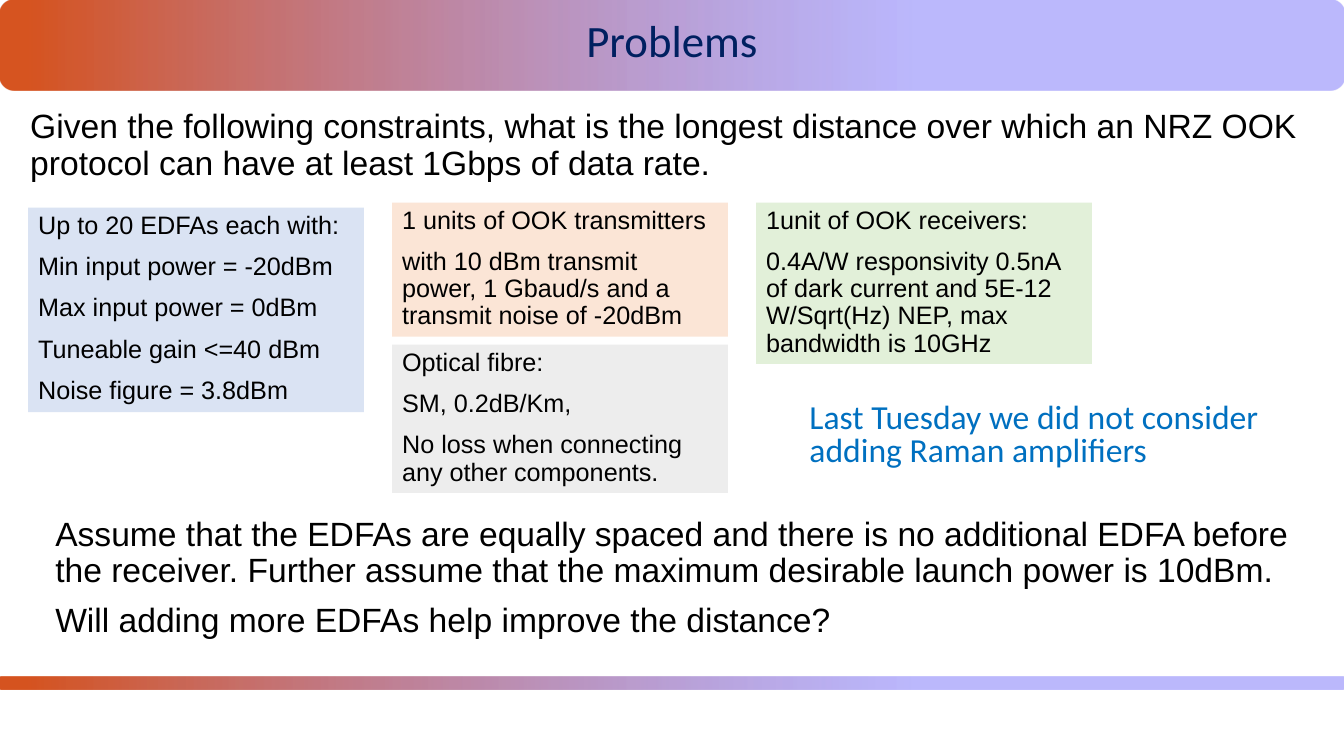
from lxml.etree import SubElement
from pptx import Presentation
from pptx.dml.color import RGBColor
from pptx.enum.shapes import MSO_SHAPE
from pptx.enum.text import MSO_ANCHOR, MSO_AUTO_SIZE, PP_ALIGN
from pptx.oxml.ns import qn
from pptx.util import Inches, Pt


def rgb(value):
    return RGBColor.from_string(value)


class SlideBuilder:
    """Holds the shared style and the current slide."""
    font, color, size = "Arial", "000000", 24
    gradient = [(0.02, "D65420"), (0.68, "7B75FB")]
    end_alpha = 51000

    def __init__(self, prs):
        self.slide = prs.slides.add_slide(prs.slide_layouts[1])
        self.shapes = self.slide.shapes

    def place(self, sp, box):
        sp.left, sp.top, sp.width, sp.height = [Inches(v) for v in box]

    def fill_text(self, sp, lines, size=None, font=None, color=None,
                  align=PP_ALIGN.LEFT, anchor=MSO_ANCHOR.TOP, spacing=0.9):
        tf = sp.text_frame
        tf.word_wrap = True
        tf.auto_size = MSO_AUTO_SIZE.NONE
        tf.vertical_anchor = anchor
        for i, line in enumerate(lines):
            p = tf.paragraphs[0] if i == 0 else tf.add_paragraph()
            p.alignment = align
            p.line_spacing = spacing
            p.space_before = Pt(10 if i else 0)
            p.space_after = Pt(0)
            r = p.add_run()
            r.text = line
            r.font.size = Pt(size or self.size)
            r.font.name = font or self.font
            r.font.color.rgb = rgb(color or self.color)

    def shape(self, kind, box):
        sp = self.shapes.add_shape(kind, *[Inches(v) for v in box])
        sp.shadow.inherit = False
        sp.line.fill.background()
        return sp

    def band(self, top, height):
        sp = self.shape(MSO_SHAPE.ROUNDED_RECTANGLE, (0, top, 13.33, height))
        sp.fill.gradient()
        sp.fill.gradient_angle = 0
        for stop, (position, color) in zip(sp.fill.gradient_stops, self.gradient):
            stop.position = position
            stop.color.rgb = rgb(color)
        last_color = sp.element.findall(".//" + qn("a:srgbClr"))[-1]
        SubElement(last_color, qn("a:alpha"), val=str(self.end_alpha))

    def title(self, text, box):
        sp = self.shapes.title
        self.place(sp, box)
        self.fill_text(sp, [text], 32, "Calibri", "002060",
                       PP_ALIGN.CENTER, MSO_ANCHOR.MIDDLE)
        self.shapes.element.append(sp.element)  # bring in front of the band

    def body(self, lines, box):
        sp = self.slide.placeholders[1]
        self.place(sp, box)
        for p in sp.text_frame.paragraphs:
            pPr = p._p.get_or_add_pPr()
            pPr.set("marL", "0")
            pPr.set("indent", "0")
            SubElement(pPr, qn("a:buNone"))
        self.fill_text(sp, lines)

    def text(self, lines, box, **style):
        sp = self.shapes.add_textbox(*[Inches(v) for v in box])
        self.fill_text(sp, lines, **style)

    def card(self, lines, box, fill):
        sp = self.shape(MSO_SHAPE.RECTANGLE, box)
        sp.fill.solid()
        sp.fill.fore_color.rgb = rgb(fill)
        self.fill_text(sp, lines, 18)


def main():
    prs = Presentation()
    prs.slide_width, prs.slide_height = Inches(13.33), Inches(7.5)
    s = SlideBuilder(prs)

    # Header, footer and title
    s.band(0, 0.9)
    s.band(6.71, 0.13)
    s.title("Problems", (0, 0.2, 13.33, 0.46))

    # Question
    s.body(["Given the following constraints, what is the longest distance over "
            "which an NRZ OOK protocol can have at least 1Gbps of data rate."],
           (0.2, 1.04, 12.86, 0.7))

    # Constraint cards in three columns
    card_width = 3.33
    left, middle, right = [0.28 + 3.61 * i for i in range(3)]
    cards = [
        (left, 2.06, 2.03, "DAE3F3",
         ["Up to 20 EDFAs each with:", "Min input power = -20dBm",
          "Max input power = 0dBm", "Tuneable gain <=40 dBm",
          "Noise figure = 3.8dBm"]),
        (middle, 2.01, 1.33, "FBE5D6",
         ["1 units of OOK transmitters",
          "with 10 dBm transmit power, 1 Gbaud/s and a transmit noise of -20dBm"]),
        (right, 2.01, 1.6, "E2F0D9",
         ["1unit of OOK receivers:",
          "0.4A/W responsivity 0.5nA of dark current and 5E-12 W/Sqrt(Hz) NEP, "
          "max bandwidth is 10GHz"]),
        (middle, 3.42, 1.47, "EDEDED",
         ["Optical fibre:", "SM, 0.2dB/Km,",
          "No loss when connecting any other components."]),
    ]
    for x, y, height, fill, lines in cards:
        s.card(lines, (x, y, card_width, height), fill)

    # Assumptions and remark
    s.text(["Assume that the EDFAs are equally spaced and there is no additional "
            "EDFA before the receiver. Further assume that the maximum desirable "
            "launch power is 10dBm.",
            "Will adding more EDFAs help improve the distance?"],
           (0.45, 5.08, 12.86, 0.7))
    s.text(["Last Tuesday we did not consider adding Raman amplifiers"],
           (7.93, 3.96, 4.85, 0.77), font="Calibri", color="0070C0", spacing=0.8)

    prs.save("out.pptx")


if __name__ == "__main__":
    main()
